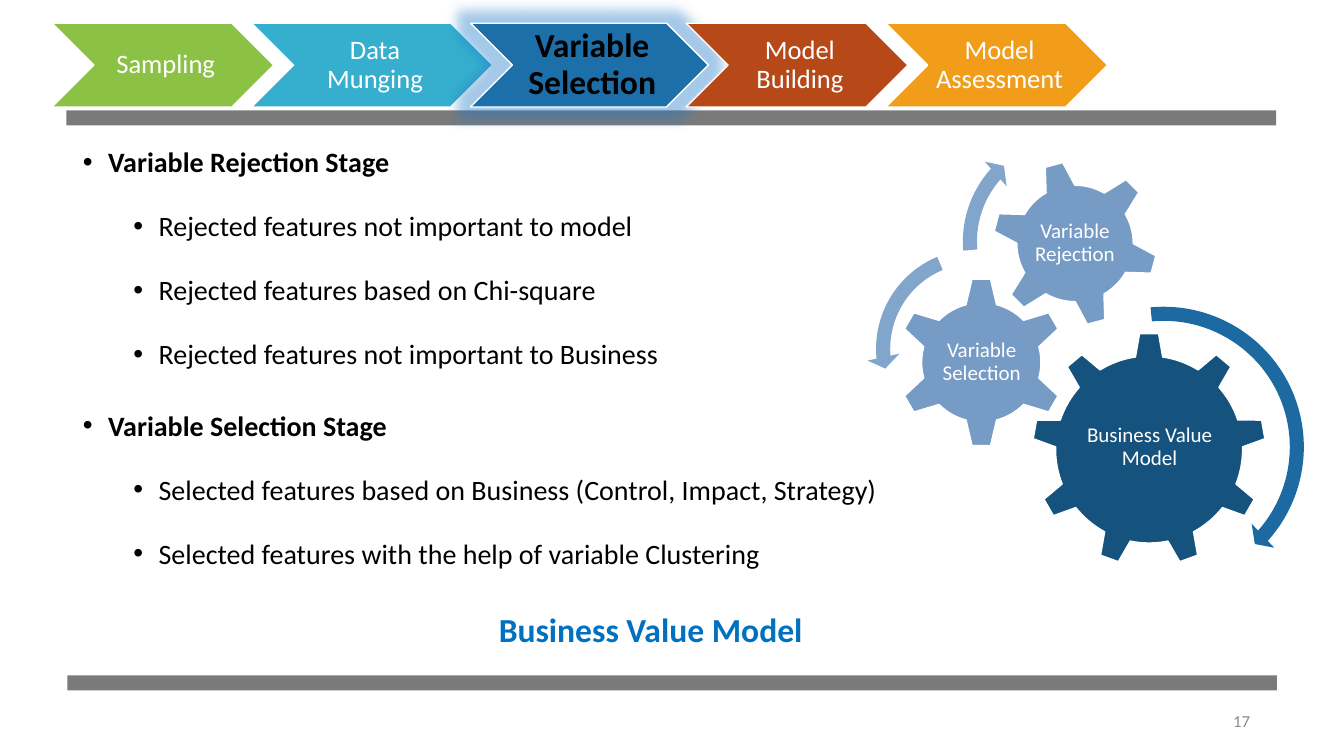
"""Build the variable selection slide with its process chevrons and gears."""
from dataclasses import dataclass

from lxml import etree
from pptx import Presentation
from pptx.dml.color import RGBColor
from pptx.enum.shapes import MSO_SHAPE
from pptx.enum.text import MSO_ANCHOR, PP_ALIGN
from pptx.oxml.ns import qn
from pptx.util import Pt

RECTANGLE = MSO_SHAPE.RECTANGLE
CHEVRON = MSO_SHAPE.CHEVRON
GEAR_SIX = MSO_SHAPE.GEAR_6
GEAR_NINE = MSO_SHAPE.GEAR_9
ARROW = MSO_SHAPE.CIRCULAR_ARROW
LEFT_ARROW = MSO_SHAPE.LEFT_CIRCULAR_ARROW
LEFT, CENTER, RIGHT = PP_ALIGN.LEFT, PP_ALIGN.CENTER, PP_ALIGN.RIGHT
TOP, MIDDLE = MSO_ANCHOR.TOP, MSO_ANCHOR.MIDDLE

FONT = "Calibri"
WHITE, BLACK, GREY = "FFFFFF", "000000", "7A7A7A"
DEFAULT_INSETS = (7.2, 3.6, 7.2, 3.6)
CHEVRON_START, CHEVRON_OVERLAP = 37.2, 15.8

Area = tuple[float, float, float, float]


@dataclass
class Step:
    label: str
    width: float
    color: str
    current: bool = False


@dataclass
class Gear:
    label: str
    kind: MSO_SHAPE
    area: Area
    label_area: Area
    color: str
    rotation: float = 0


@dataclass
class Arc:
    kind: MSO_SHAPE
    area: Area
    adjustments: tuple[float, ...]
    color: str


@dataclass
class Stage:
    title: str
    points: list[str]


STEPS = [
    Step("Sampling", 158.4, "8BC145"),
    Step("Data Munging", 172.1, "36AFCE"),
    Step("Variable Selection", 169.9, "1D6FA9", current=True),
    Step("Model Building", 158.4, "B74919"),
    Step("Model Assessment", 158.4, "F19D19"),
]
GEARS = [
    Gear("Business Value Model", GEAR_NINE, (737.3, 237.6, 167, 167),
         (771.1, 276.5, 100.1, 85.7), "15527D"),
    Gear("Variable Selection", GEAR_SIX, (640.1, 198, 121.7, 121.7),
         (671, 229, 60.5, 59.8), "769BC5"),
    Gear("Variable Rejection", GEAR_SIX, (708.5, 114.5, 118.8, 118.8),
         (734.4, 140.4, 67, 67), "769BC5", rotation=345),
]
ARCS = [
    Arc(ARROW, (724.3, 212.4, 213.8, 213.8), (0.047, 2.99, 25.077, 158.797, 0.055), "1C6AA1"),
    Arc(LEFT_ARROW, (619.2, 171.4, 155.5, 155.5), (0.065, 4.3, 104.891, 148.378, 0.075), "82A5CC"),
    Arc(ARROW, (681.1, 88.6, 167.8, 167.8), (0.06, 3.941, 133.138, 105.082, 0.07), "82A5CC"),
]
STAGES = [
    Stage("Variable Rejection Stage", [
        "Rejected features not important to model",
        "Rejected features based on Chi-square",
        "Rejected features not important to Business",
    ]),
    Stage("Variable Selection Stage", [
        "Selected features based on Business (Control, Impact, Strategy)",
        "Selected features with the help of variable Clustering",
    ]),
]


def color_of(value: str) -> RGBColor:
    return RGBColor.from_string(value)


def add_shape(page, kind: MSO_SHAPE, area: Area, color: str, outline: str = ""):
    shape = page.shapes.add_shape(kind, *map(Pt, area))
    shape.shadow.inherit = False
    shape.fill.solid()
    shape.fill.fore_color.rgb = color_of(color)
    if outline:
        shape.line.color.rgb = color_of(outline)
        shape.line.width = Pt(1)
    else:
        shape.line.fill.background()
    return shape


def set_frame(frame, anchor: MSO_ANCHOR = MIDDLE, insets: Area = DEFAULT_INSETS) -> None:
    frame.word_wrap = True
    frame.vertical_anchor = anchor
    frame.margin_left, frame.margin_top, frame.margin_right, frame.margin_bottom = map(Pt, insets)


def write(para, text: str, *, size: float, color: str = WHITE, bold: bool = False,
          align: PP_ALIGN = CENTER, spacing: float = 0.9, before: float = 0) -> None:
    para.alignment = align
    para.line_spacing = spacing
    para.space_before = Pt(before)
    span = para.add_run()
    span.text = text
    span.font.name = FONT
    span.font.size = Pt(size)
    span.font.bold = bold
    span.font.color.rgb = color_of(color)


def add_text(page, text: str, area: Area, *, anchor: MSO_ANCHOR = MIDDLE,
             insets: Area = DEFAULT_INSETS, **style) -> None:
    box = page.shapes.add_textbox(*map(Pt, area))
    set_frame(box.text_frame, anchor, insets)
    write(box.text_frame.paragraphs[0], text, **style)


def add_glow(shape, color: str, radius: float, alpha: int) -> None:
    effects = shape._element.spPr.find(qn("a:effectLst"))
    glow = etree.SubElement(effects, qn("a:glow"), rad=str(Pt(radius)))
    tint = etree.SubElement(glow, qn("a:srgbClr"), val=color)
    etree.SubElement(tint, qn("a:alpha"), val=str(alpha * 1000))


def add_bullet(para, indent: float) -> None:
    properties = para._p.get_or_add_pPr()
    properties.set("marL", str(Pt(indent)))
    properties.set("indent", str(Pt(-18)))
    etree.SubElement(properties, qn("a:buFont"), typeface="Arial")
    etree.SubElement(properties, qn("a:buChar"), char="•")


def add_steps(page) -> None:
    left = CHEVRON_START
    for step in STEPS:
        shape = add_shape(page, CHEVRON, (left, 16.6, step.width, 59.8), step.color, WHITE)
        set_frame(shape.text_frame, insets=(4, 2, 0, 2))
        write(shape.text_frame.paragraphs[0], step.label, size=24 if step.current else 19,
              color=BLACK if step.current else WHITE, bold=step.current)
        if step.current:
            add_glow(shape, "1D78C8", 18, 40)
        left += step.width - CHEVRON_OVERLAP


def add_stages(page) -> None:
    box = page.shapes.add_textbox(Pt(52.2), Pt(83), Pt(828), Pt(326.9))
    frame = box.text_frame
    set_frame(frame, TOP)
    for stage in STAGES:
        for level, text in [(0, stage.title)] + [(1, point) for point in stage.points]:
            first = stage is STAGES[0] and level == 0
            para = frame.paragraphs[0] if first else frame.add_paragraph()
            para.level = level
            write(para, text, size=20, color=BLACK, bold=level == 0, align=LEFT,
                  spacing=1.7, before=5 if level else 10)
            add_bullet(para, 54 if level else 18)


def add_gears(page) -> None:
    for gear in GEARS:
        shape = add_shape(page, gear.kind, gear.area, gear.color, WHITE)
        shape.rotation = gear.rotation
        add_text(page, gear.label, gear.label_area, size=15, insets=(1.5, 1.5, 1.5, 1.5))
    for arc in ARCS:
        shape = add_shape(page, arc.kind, arc.area, arc.color)
        for index, value in enumerate(arc.adjustments):
            shape.adjustments[index] = value


def main() -> None:
    deck = Presentation()
    deck.slide_width, deck.slide_height = Pt(960), Pt(540)
    page = deck.slides.add_slide(deck.slide_layouts[6])
    for left, top in ((48.2, 482.4), (47.5, 78.8)):
        add_shape(page, RECTANGLE, (left, top, 864, 10.8), GREY)
    add_text(page, "17", (684, 500.4, 216, 28.8), size=12, color="8C8C8C",
             align=RIGHT, spacing=1)
    add_steps(page)
    add_stages(page)
    add_gears(page)
    add_text(page, "Business Value Model", (349.2, 431.3, 233.3, 36), anchor=TOP,
             size=24, color="0070C0", bold=True, align=LEFT, spacing=1)
    deck.save("out.pptx")


if __name__ == "__main__":
    main()
